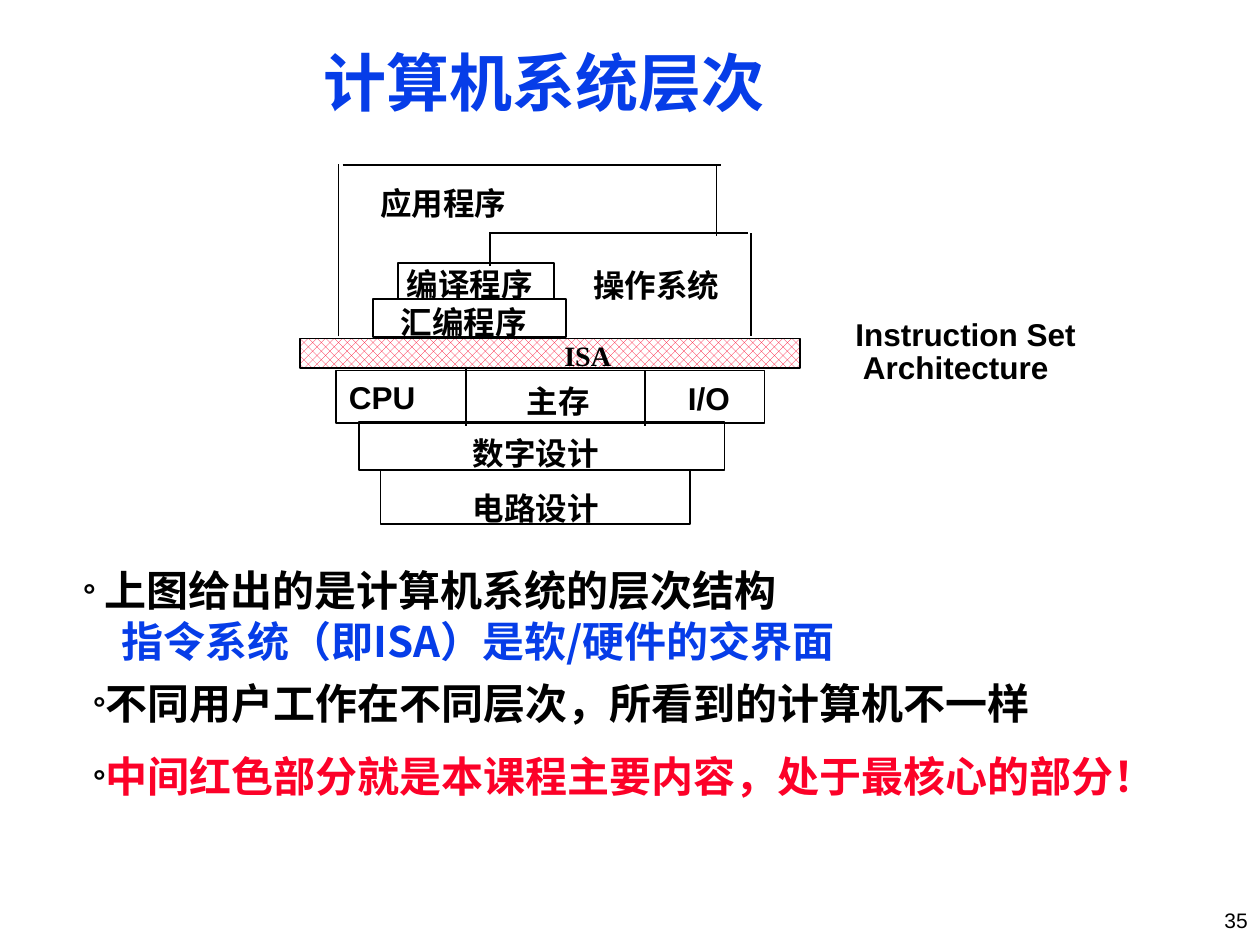
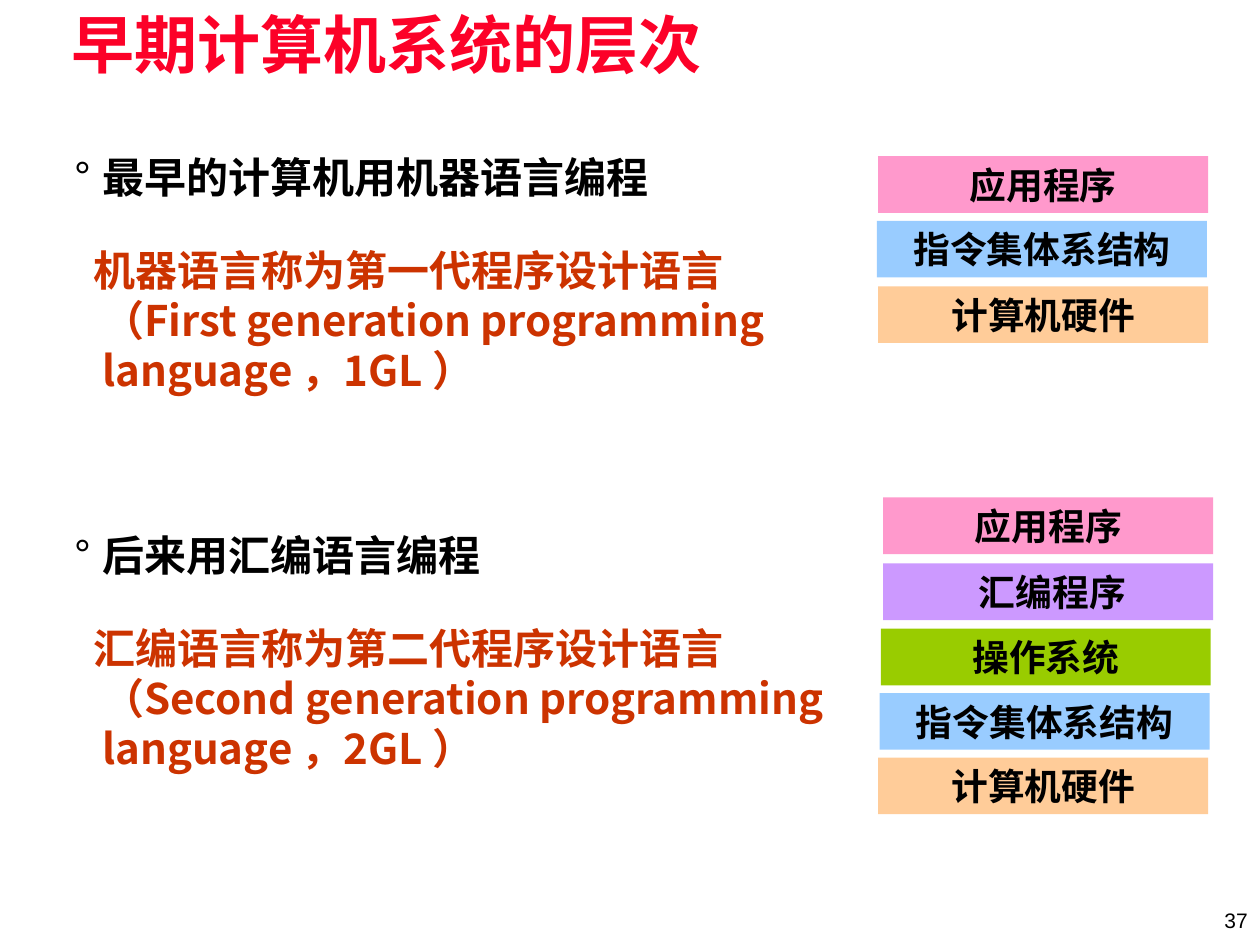
from lxml import etree
from pptx import Presentation
from pptx.dml.color import RGBColor
from pptx.enum.dml import MSO_PATTERN
from pptx.enum.shapes import MSO_CONNECTOR, MSO_SHAPE
from pptx.enum.text import MSO_ANCHOR, PP_ALIGN
from pptx.oxml.ns import qn
from pptx.util import Pt

BLACK, BLUE, RED, BROWN = "000000", "063DE8", "FC0128", "CC3300"
CJK_FONT = "Noto Sans CJK SC"
color = RGBColor.from_string


def format_text(shape, size, hex_color=BLACK, font="Arial", bold=True, spacing=None):
    """Style every run; spacing is an exact line height in points."""
    for paragraph in shape.text_frame.paragraphs:
        if spacing:
            paragraph.line_spacing = Pt(spacing)
        for run in paragraph.runs:
            run.font.size = Pt(size)
            run.font.bold = bold
            run.font.name = font
            run.font.color.rgb = color(hex_color)
            east_asian = etree.SubElement(run._r.get_or_add_rPr(), qn("a:ea"))
            east_asian.set("typeface", CJK_FONT)


def place_text(shape, left, top, width, height, text):
    shape.left, shape.top = Pt(left), Pt(top)
    shape.width, shape.height = Pt(width), Pt(height)
    frame = shape.text_frame
    frame.word_wrap = True
    frame.vertical_anchor = MSO_ANCHOR.TOP
    frame.margin_left = frame.margin_right = Pt(5)
    frame.margin_top = frame.margin_bottom = Pt(2.2)
    frame.text = text
    for paragraph in frame.paragraphs:
        paragraph.alignment = PP_ALIGN.LEFT


presentation = Presentation()
presentation.slide_width, presentation.slide_height = Pt(720), Pt(540)

# Titles and page numbers
slides = []
for title, left, top, width, title_color, number in [
    ("计算机系统层次", 180, 25.9, 305, BLUE, "35"),
    ("早期计算机系统的层次", 36, 4.3, 648, RED, "37"),
]:
    slide = presentation.slides.add_slide(presentation.slide_layouts[5])
    place_text(slide.shapes.title, left, top, width, 44, title)
    format_text(slide.shapes.title, 36, title_color, spacing=40)
    page_number = slide.shapes.add_textbox(0, 0, 0, 0)
    place_text(page_number, 558, 511, 160, 29, number)
    page_number.text_frame.vertical_anchor = MSO_ANCHOR.MIDDLE
    page_number.text_frame.paragraphs[0].alignment = PP_ALIGN.RIGHT
    format_text(page_number, 12, bold=False)
    slides.append(slide)
layers_slide, early_slide = slides

# Layer diagram: boxes
layer_boxes = [
    (192.2, 211.7, 244.8, 30.2),
    (227.5, 150.5, 89.3, 20.2),
    (205.2, 241.2, 208.8, 27.4),
    (217.4, 268.6, 177.1, 31),
    (213.1, 171, 110.2, 21.6),
    (171.4, 193.4, 285.8, 16.9),
]
for box in layer_boxes:
    rectangle = layers_slide.shapes.add_shape(MSO_SHAPE.RECTANGLE, *map(Pt, box))
    rectangle.shadow.inherit = False
    rectangle.fill.background()
    rectangle.line.color.rgb = color(BLACK)
    rectangle.line.width = Pt(1)
isa_bar = rectangle
isa_bar.fill.patterned()
isa_bar.fill.pattern = MSO_PATTERN.PERCENT_50
isa_bar.fill.fore_color.rgb = color(RED)
isa_bar.fill.back_color.rgb = color("FFFFFF")

# Layer diagram: dividers, then the open outlines of application and OS
for ends in [
    (368.6, 211.7, 368.6, 243.4),
    (266.4, 211, 266.4, 243.4),
    (280.1, 152, 280.1, 132.5),
    (280.8, 133.2, 427.7, 133.2),
    (429.1, 133.2, 429.1, 192.2),
    (193.5, 192.2, 193.5, 93.6),
    (195.8, 94.3, 411.8, 94.3),
    (409.5, 94.3, 409.5, 134.6),
]:
    line = layers_slide.shapes.add_connector(MSO_CONNECTOR.STRAIGHT, *map(Pt, ends))
    line.line.color.rgb = color(BLACK)
    line.line.width = Pt(1)
    etree.SubElement(line._element.spPr, qn("a:effectLst"))

# Layer diagram: labels
for text, left, top, spacing in [
    ("应用程序", 212.4, 100.8, 24),
    ("编译程序", 227.5, 146.9, 24),
    ("操作系统", 334.1, 147.6, 24),
    ("汇编程序", 223.9, 168.5, 24),
    ("CPU", 194.4, 213.1, 22.4),
    ("主存", 295.9, 213.8, 24),
    ("I/O", 388.1, 213.8, 22.4),
    ("数字设计", 265, 243.4, 24),
    ("电路设计", 265, 275, 24),
]:
    label = layers_slide.shapes.add_textbox(0, 0, 0, 0)
    place_text(label, left, top, 90, 25, text)
    format_text(label, 18, spacing=spacing)

isa_label = layers_slide.shapes.add_textbox(0, 0, 0, 0)
place_text(isa_label, 317.5, 191, 46, 25, "ISA")
format_text(isa_label, 16, font="Times New Roman")

isa_meaning = layers_slide.shapes.add_textbox(0, 0, 0, 0)
place_text(isa_meaning, 483.8, 180.7, 145, 41, "Instruction Set\n Architecture")
format_text(isa_meaning, 18, spacing=18.9)

# Remarks under the diagram
for mark, text, left, top, text_color, spacing in [
    ("° ", "上图给出的是计算机系统的层次结构", 42.5, 320.6, BLACK, 28.8),
    ("", "指令系统（即ISA）是软/硬件的交界面", 64.5, 349.4, BLUE, 28.8),
    ("°", "不同用户工作在不同层次，所看到的计算机不一样", 48.2, 387.4, BLACK, 26.4),
    ("°", "中间红色部分就是本课程主要内容，处于最核心的部分！", 48.2, 429.1, RED, 26.4),
]:
    remark = layers_slide.shapes.add_textbox(0, 0, 0, 0)
    place_text(remark, left, top, 664, 31, mark)
    paragraph = remark.text_frame.paragraphs[0]
    paragraph.add_run().text = text
    format_text(remark, 24, text_color, CJK_FONT, spacing=spacing)
    if mark:
        paragraph.runs[0].font.size = Pt(18)
        paragraph.runs[0].font.name = "Arial"
        paragraph.runs[0].font.color.rgb = color(BLACK)

# Language generations
for top, heading, explanation in [
    (84.5, "最早的计算机用机器语言编程",
     "机器语言称为第一代程序设计语言（First generation programming language ，1GL ）"),
    (300.5, "后来用汇编语言编程",
     "汇编语言称为第二代程序设计语言（Second generation programming language ，2GL ）"),
]:
    generation = early_slide.shapes.add_textbox(0, 0, 0, 0)
    place_text(generation, 37.4, top, 443.5, 144, heading + "\n" + explanation)
    format_text(generation, 24, BLACK, CJK_FONT, spacing=28.8)
    heading_paragraph, explanation_paragraph = generation.text_frame.paragraphs
    explanation_paragraph.space_before = Pt(24)
    explanation_paragraph.runs[0].font.color.rgb = color(BROWN)
    for paragraph, indent in [(heading_paragraph, -16), (explanation_paragraph, -5)]:
        properties = paragraph._p.get_or_add_pPr()
        properties.set("marL", str(Pt(16)))
        properties.set("indent", str(Pt(indent)))
    properties = heading_paragraph._p.get_or_add_pPr()
    etree.SubElement(properties, qn("a:buFont")).set("typeface", "Arial")
    etree.SubElement(properties, qn("a:buChar")).set("char", "°")

# Layer stacks
layer_colors = {
    "应用程序": "FF99CC",
    " 汇编程序": "CC99FF",
    "操作系统": "99CC00",
    "指令集体系结构": "99CCFF",
    "计算机硬件": "FFCC99",
}
for text, left, top in [
    ("应用程序", 501.8, 89.2),
    ("指令集体系结构", 501.1, 126.2),
    ("计算机硬件", 501.8, 163.6),
    ("应用程序", 504.7, 284.2),
    (" 汇编程序", 504.7, 322),
    ("操作系统", 503.3, 359.2),
    ("指令集体系结构", 502.6, 396),
    ("计算机硬件", 501.8, 432.9),
]:
    layer = early_slide.shapes.add_shape(MSO_SHAPE.RECTANGLE, 0, 0, 0, 0)
    layer.shadow.inherit = False
    layer.fill.solid()
    layer.fill.fore_color.rgb = color(layer_colors[text])
    layer.line.fill.background()
    place_text(layer, left, top, 188.6, 32.4, text)
    layer.text_frame.margin_top = layer.text_frame.margin_bottom = 0
    layer.text_frame.vertical_anchor = MSO_ANCHOR.MIDDLE
    layer.text_frame.paragraphs[0].alignment = PP_ALIGN.CENTER
    format_text(layer, 21, font="Times New Roman")

presentation.save("out.pptx")
